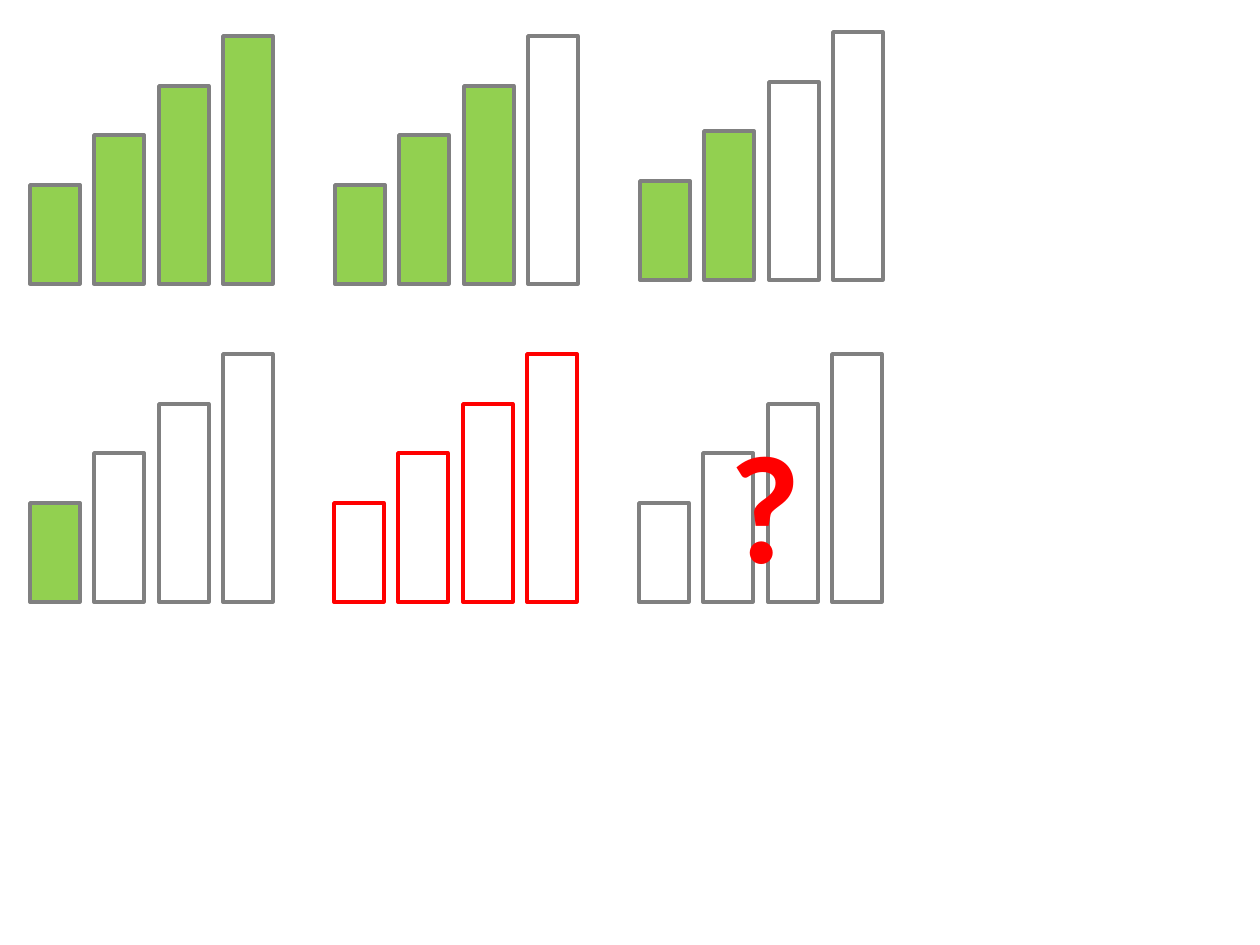
from dataclasses import dataclass

from pptx import Presentation
from pptx.dml.color import RGBColor as Rgb
from pptx.enum.shapes import MSO_SHAPE as Shape
from pptx.enum.text import MSO_AUTO_SIZE as Fit, PP_ALIGN as Align
from pptx.util import Emu, Inches, Pt

SCALE = Inches(1) / 126


def px(n):
    return Emu(round(n * SCALE))


@dataclass(frozen=True)
class Theme:
    font: str = "Calibri"
    green: str = "92D050"
    gray: str = "808080"
    red: str = "FF0000"
    line: float = 2
    mark: float = 88


def write(frame, text, size, color, font, bold=False, align=Align.LEFT):
    para = frame.paragraphs[0]
    para.alignment = align
    run = para.add_run()
    run.text = text
    run.font.name, run.font.size, run.font.bold = font, Pt(size), bold
    run.font.color.rgb = Rgb.from_string(color)


class Page:
    def __init__(self, slide, theme):
        self.slide, self.theme = slide, theme

    def bar(self, x, y, w, h, edge, fill=None):
        bar = self.slide.shapes.add_shape(Shape.RECTANGLE, px(x), px(y), px(w), px(h))
        bar.shadow.inherit = False
        if fill:
            bar.fill.solid()
            bar.fill.fore_color.rgb = Rgb.from_string(fill)
        else:
            bar.fill.background()
        bar.line.color.rgb = Rgb.from_string(edge)
        bar.line.width = Pt(self.theme.line)

    def meter(self, x, base, level, edge):
        """Draw four rising bars, the first ones filled up to the level."""
        for i in range(COUNT):
            high = round(STEP * (i + 2))
            fill = self.theme.green if i < level else None
            self.bar(x + round(PITCH * i), base - high, WIDTH, high, edge, fill)

    def text(self, x, y, w, h, text, **style):
        frame = self.slide.shapes.add_textbox(px(x), px(y), px(w), px(h)).text_frame
        frame.word_wrap = False
        frame.auto_size = Fit.SHAPE_TO_FIT_TEXT
        write(frame, text, font=self.theme.font, **style)


# Bar grid in pixels
COUNT, WIDTH, PITCH, STEP = 4, 50, 64.4, 49.6

deck = Presentation()
deck.slide_width, deck.slide_height = Inches(10), Inches(7.5)
look = Theme()
page = Page(deck.slides.add_slide(deck.slide_layouts[6]), look)

# Signal meters: left, base, filled bars, outline
meters = [
    (30, 284, 4, look.gray),
    (335, 284, 3, look.gray),
    (640, 280, 2, look.gray),
    (30, 602, 1, look.gray),
    (334, 602, 0, look.red),
    (639, 602, 0, look.gray),
]
for meter in meters:
    page.meter(*meter)

# Unknown signal mark
page.text(717, 403, 97, 199, "?", size=look.mark, color=look.red,
          bold=True, align=Align.CENTER)

deck.save("out.pptx")
